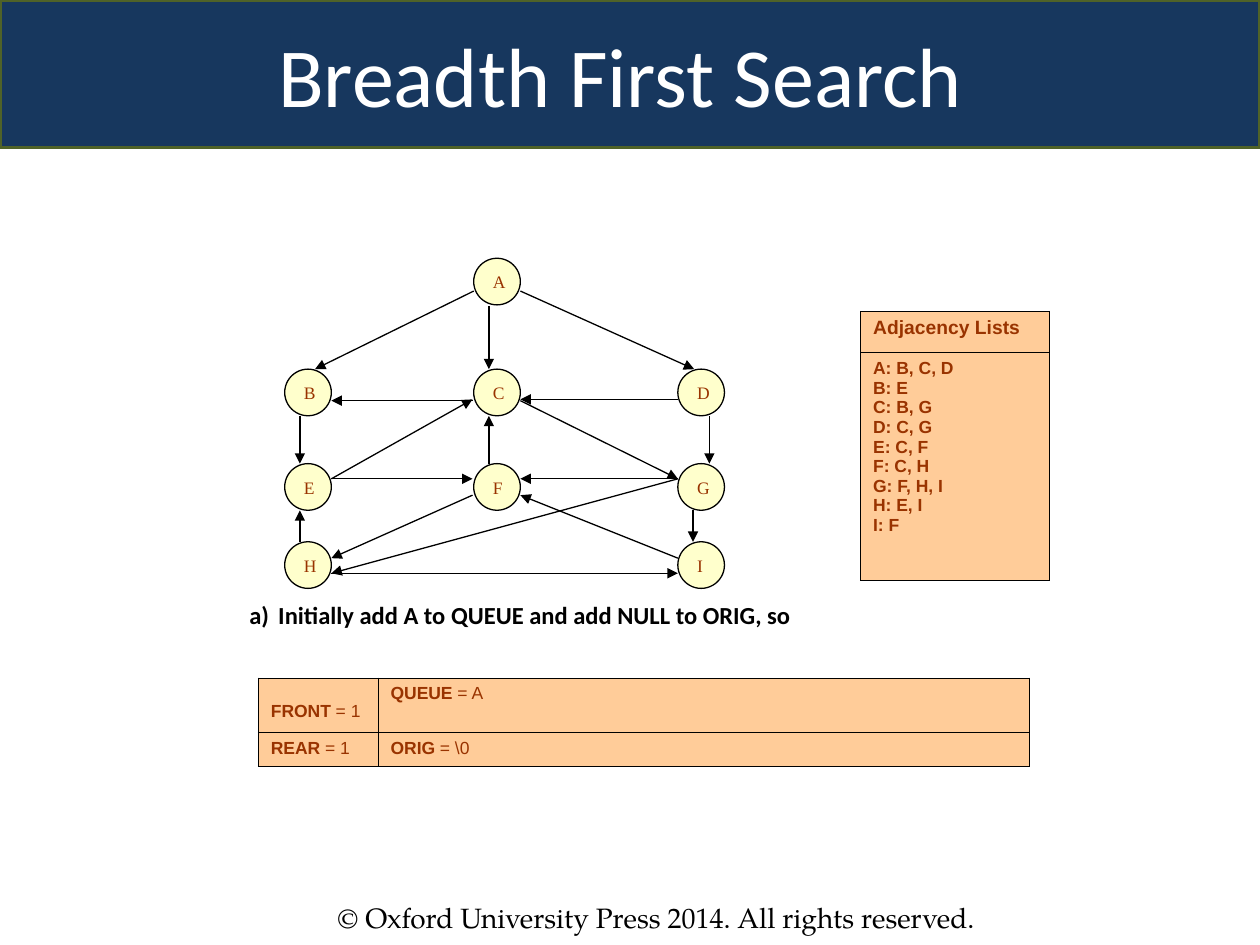
import pptx
import pptx.util
import pptx.dml.color
import pptx.enum.shapes
import pptx.enum.text
import pptx.oxml
import pptx.oxml.ns
from lxml import etree

Inches = pptx.util.Inches
Pt = pptx.util.Pt
qn = pptx.oxml.ns.qn
Align = pptx.enum.text.PP_ALIGN

COLS = [2.26, 3.76, 5.38]
ROWS = [2.05, 2.93, 3.68, 4.3]
NODES = {
    "A": (1, 0), "B": (0, 1), "C": (1, 1), "D": (2, 1),
    "E": (0, 2), "F": (1, 2), "G": (2, 2), "H": (0, 3), "I": (2, 3),
}
EDGES = [
    (3.76, 2.31, 2.5, 2.93), (3.88, 2.43, 3.88, 2.93), (4.13, 2.31, 5.51, 2.93),
    (2.38, 3.3, 2.38, 3.68), (3.75, 3.18, 2.63, 3.18), (3.88, 3.68, 3.88, 3.3),
    (5.63, 3.3, 5.63, 3.68), (2.63, 3.8, 3.75, 3.17), (4.13, 3.18, 5.38, 3.8),
    (2.63, 3.8, 3.75, 3.8), (5.38, 3.8, 4.13, 3.8), (2.63, 4.55, 5.38, 4.55),
    (2.38, 4.3, 2.38, 4.05), (5.5, 4.05, 5.5, 4.3), (5.38, 3.8, 2.63, 4.55),
    (5.38, 4.43, 4.13, 3.93), (3.75, 3.93, 2.63, 4.43), (5.38, 3.17, 4.13, 3.17),
]
LISTS = ["A: B, C, D", "B: E", "C: B, G", "D: C, G", "E: C, F",
         "F: C, H", "G: F, H, I", "H: E, I", "I: F"]


def tint(code):
    return pptx.dml.color.RGBColor.from_string(code)


def write(par, text, font="Arial", size=10, color="993300", bold=False, align=Align.LEFT):
    par.alignment = align
    run = par.add_run()
    run.text = text
    run.font.name = font
    run.font.size = Pt(size)
    run.font.bold = bold
    run.font.color.rgb = tint(color)


class Board:
    """Holds the style and the current slide, and draws each kind of element."""

    ink = "000000"
    navy = "17375E"
    olive = "4F6228"
    cream = "FFFFCC"
    peach = "FFCC99"

    def __init__(self, slide):
        self.slide = slide
        self.shapes = slide.shapes

    def paint(self, shape, fill, line, width):
        shape.fill.solid()
        shape.fill.fore_color.rgb = tint(fill)
        shape.line.color.rgb = tint(line)
        shape.line.width = Pt(width)

    def title(self, text):
        bar = self.shapes.title
        bar.left, bar.top, bar.width, bar.height = 0, 0, Inches(10), Inches(1.17)
        self.paint(bar, self.navy, self.olive, 2)
        frame = bar.text_frame
        frame.auto_size = pptx.enum.text.MSO_AUTO_SIZE.NONE
        frame.vertical_anchor = pptx.enum.text.MSO_ANCHOR.MIDDLE
        write(frame.paragraphs[0], text, font="Calibri", size=48, color="FFFFFF",
              align=Align.CENTER)

    def label(self, text, x, y, w, h, mark=None, **form):
        box = self.shapes.add_textbox(Inches(x), Inches(y), Inches(w), Inches(h))
        box.text_frame.word_wrap = True
        par = box.text_frame.paragraphs[0]
        if mark:
            props = par._p.get_or_add_pPr()
            props.set("marL", str(Inches(0.23)))
            props.set("indent", str(-Inches(0.23)))
            etree.SubElement(props, qn("a:buAutoNum"), type=mark)
        write(par, text, color=self.ink, **form)

    def node(self, name, x, y):
        kind = pptx.enum.shapes.MSO_SHAPE.OVAL
        ball = self.shapes.add_shape(kind, Inches(x), Inches(y), Inches(0.37), Inches(0.37))
        ball.shadow.inherit = False
        self.paint(ball, self.cream, self.ink, 0.75)
        ball.text_frame.vertical_anchor = pptx.enum.text.MSO_ANCHOR.TOP
        write(ball.text_frame.paragraphs[0], name, font="Times New Roman")

    def arrow(self, *ends):
        kind = pptx.enum.shapes.MSO_CONNECTOR.STRAIGHT
        edge = self.shapes.add_connector(kind, *map(Inches, ends))
        edge.line.color.rgb = tint(self.ink)
        edge.line.width = Pt(0.75)
        props = edge.element.spPr
        etree.SubElement(props.find(qn("a:ln")), qn("a:tailEnd"), type="triangle")
        etree.SubElement(props, qn("a:effectLst"))

    def cell(self, cell, lines, size):
        props = cell._tc.get_or_add_tcPr()
        for side in ("lnL", "lnR", "lnT", "lnB"):
            rule = etree.SubElement(props, qn("a:" + side), w=str(Pt(0.45)))
            fill = etree.SubElement(rule, qn("a:solidFill"))
            etree.SubElement(fill, qn("a:srgbClr"), val=self.ink)
        cell.fill.solid()
        cell.fill.fore_color.rgb = tint(self.peach)
        frame = cell.text_frame
        for i, line in enumerate(lines):
            par = frame.add_paragraph() if i else frame.paragraphs[0]
            for text, bold in line:
                write(par, text, size=size, bold=bold, align=Align.JUSTIFY)

    def table(self, x, y, wides, highs, data, sizes):
        grid = self.shapes.add_table(len(highs), len(wides), Inches(x), Inches(y),
                                     Inches(sum(wides)), Inches(sum(highs))).table
        grid.first_row = grid.horz_banding = False
        for col, wide in zip(grid.columns, wides):
            col.width = Inches(wide)
        for r, high in enumerate(highs):
            grid.rows[r].height = Inches(high)
            for c, lines in enumerate(data[r]):
                self.cell(grid.cell(r, c), lines, sizes[r])
        return grid


def main():
    deck = pptx.Presentation()
    deck.slide_width, deck.slide_height = Inches(10), Inches(7.5)
    board = Board(deck.slides.add_slide(deck.slide_layouts[5]))
    board.label("© Oxford University Press 2014. All rights reserved.",
                2.58, 7.1, 5.92, 0.37, font="TeX Gyre Pagella", size=16)
    board.title("Breadth First Search ")
    board.table(6.83, 2.47, [1.5], [0.33, 1.81],
                [[[[("Adjacency Lists", True)]]],
                 [[[(line, True)] for line in LISTS]]], [11, 10])
    for name, (col, row) in NODES.items():
        board.node(name, COLS[col], ROWS[row])
    for ends in EDGES:
        board.arrow(*ends)
    board.label("Initially add A to QUEUE and add NULL to ORIG, so", 1.88, 4.71, 4.75, 0.34,
                mark="alphaLcParenR", font="Calibri", size=14, bold=True,
                align=Align.JUSTIFY)
    state = [[("FRONT", " = 1"), ("QUEUE", " = A")],
             [("REAR", " = 1"), ("ORIG", " = \\0")]]
    data = [[[[(key, True), (val, False)]] for key, val in row] for row in state]
    queue = board.table(2.05, 5.38, [0.95, 5.17], [0.43, 0.27], data, [10, 10])
    queue.cell(0, 0).margin_top = Inches(0.19)
    deck.save("out.pptx")


if __name__ == "__main__":
    main()
